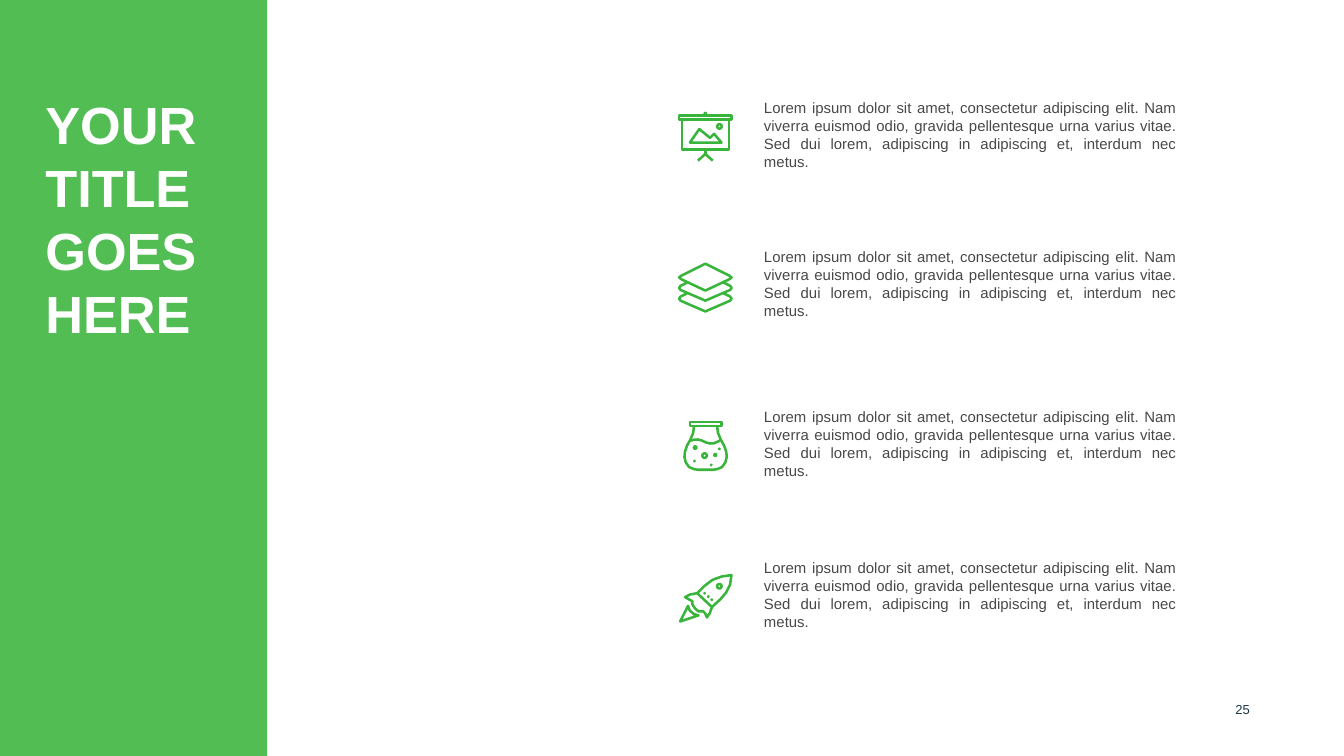
from math import cos, pi, sin

from lxml import etree
from pptx import Presentation
from pptx.dml.color import RGBColor
from pptx.enum import shapes, text
from pptx.oxml import ns
from pptx.util import Pt

GREEN, WHITE, GREY, NAVY = "39B53C", "FFFFFF", "484848", "1D3647"
FONT = "Arial"
ICON_UNIT = 0.72  # points per step of the icon grid
ICON_LEFT = 363.1
STROKE = 1.35
LOREM = ("Lorem ipsum dolor sit amet, consectetur adipiscing elit. Nam viverra "
         "euismod odio, gravida pellentesque urna varius vitae. Sed dui lorem, "
         "adipiscing in adipiscing et, interdum nec metus.")


def colour(hex_code):
    return RGBColor.from_string(hex_code)


def write(frame, words, size, color, bold=False, align=text.PP_ALIGN.LEFT,
          after=0, inset=(7.2, 3.6)):
    frame.word_wrap = True
    frame.margin_left = frame.margin_right = Pt(inset[0])
    frame.margin_top = frame.margin_bottom = Pt(inset[1])
    paragraph = frame.paragraphs[0]
    paragraph.alignment = align
    paragraph.space_after = Pt(after)
    run = paragraph.add_run()
    run.text = words
    run.font.name, run.font.size, run.font.bold = FONT, Pt(size), bold
    run.font.color.rgb = colour(color)


# Contours are (points, closed) pairs on the icon grid
def line(*points):
    return points, False


def loop(*points):
    return points, True


def box(left, top, right, bottom):
    return loop((left, top), (right, top), (right, bottom), (left, bottom))


def circle(x, y, radius, sides=10):
    angles = [2 * pi * side / sides for side in range(sides)]
    return loop(*[(x + radius * cos(a), y + radius * sin(a)) for a in angles])


def board():
    return [circle(20.5, 1.5, 0.5),
            box(1, 2.7, 40, 6),
            box(3, 6, 38, 28),
            line((20.5, 28), (20.5, 31.5)),
            line((15, 36.5), (20.5, 31.5), (26, 36.5)),
            loop((9, 23), (16, 13), (24, 19.5), (27, 16.5), (32.5, 23)),
            circle(31, 11, 1.7)]


def layers():
    top_sheet = loop((2.5, 10), (1, 11.2), (2.5, 12.5), (20.5, 21), (38.5, 12.5),
                     (40, 11.2), (38.5, 10), (20.5, 1))
    lower_sheets = [line((7, y - 4), (2, y - 1.5), (1, y), (2, y + 1.5), (20.5, y + 9.5),
                         (39, y + 1.5), (40, y), (39, y - 1.5), (34, y - 4))
                    for y in (19, 27)]
    return [top_sheet, *lower_sheets]


def flask():
    left_side = [(12.2, 4), (11.5, 9), (9.5, 14), (7, 18.5), (5.4, 23), (5, 27),
                 (6, 31), (8.5, 34.5), (12, 36), (15, 36.5)]
    right_side = [(41.5 - x, y) for x, y in reversed(left_side)]
    liquid = line((9, 15), (12, 14.2), (15, 14), (18, 14.8), (21, 16.2), (24, 17),
                  (27, 16.8), (30, 15.5), (32, 14.5))
    bubbles = [(20, 26, 1.7), (13, 20, 0.9), (28, 25.5, 0.7),
               (12.5, 30, 0.1), (25, 33, 0.1), (31, 21, 0.1)]
    return [box(9, 1, 32.5, 4), line(*left_side, *right_side), liquid,
            *[circle(*bubble) for bubble in bubbles]]


def rocket():
    hull = loop((14.5, 14.5), (20, 9), (26, 4.5), (33, 2), (40, 1), (39, 8),
                (36, 14), (32, 18.8), (25.5, 24.8))
    fins = line((14.5, 14.5), (9, 15.5), (5.5, 17.5), (11, 20.5), (11, 23),
                (13, 26), (15.5, 28), (19, 28), (20.5, 29.5), (21.7, 32.5),
                (23.8, 29.5), (25.5, 24.8))
    flame = loop((7.7, 24), (1.8, 35.5), (15.5, 31), (12, 30), (9, 27.5))
    rivets = [circle(x, y, 0.1) for x, y in ((20, 14.5), (22.8, 17), (25.3, 19.3))]
    return [hull, fins, flame, circle(31, 9.3, 1.7), *rivets]


class SlideBuilder:
    def __init__(self, slide):
        self.slide = slide

    def panel(self, left, top, width, height, color, opacity):
        panel = self.slide.shapes.add_shape(
            shapes.MSO_SHAPE.RECTANGLE, Pt(left), Pt(top), Pt(width), Pt(height))
        panel.shadow.inherit = False
        panel.fill.solid()
        panel.fill.fore_color.rgb = colour(color)
        panel.line.fill.background()
        srgb = panel.fill._xPr.find(".//" + ns.qn("a:srgbClr"))
        etree.SubElement(srgb, ns.qn("a:alpha"), val=str(opacity * 1000))

    def label(self, left, top, width, height, words, **style):
        frame = self.slide.shapes.add_textbox(
            Pt(left), Pt(top), Pt(width), Pt(height)).text_frame
        write(frame, words, **style)

    def icon(self, top, contours):
        builder = None
        for points, closed in contours:
            grid = [(Pt(ICON_LEFT + x * ICON_UNIT), Pt(top + y * ICON_UNIT))
                    for x, y in points]
            if builder is None:
                builder = self.slide.shapes.build_freeform(*grid[0])
            else:
                builder.move_to(*grid[0])
            builder.add_line_segments(grid[1:], close=closed)
        icon = builder.convert_to_shape()
        icon.shadow.inherit = False
        icon.fill.background()
        icon.line.color.rgb = colour(GREEN)
        icon.line.width = Pt(STROKE)


def main():
    deck = Presentation()
    deck.slide_width, deck.slide_height = Pt(720), Pt(405)
    builder = SlideBuilder(deck.slides.add_slide(deck.slide_layouts[6]))

    # Page number, title panel and title
    builder.label(638.6, 375.8, 31, 11.5, "25", size=7, color=NAVY,
                  align=text.PP_ALIGN.RIGHT, inset=(0, 0))
    builder.panel(0, 0, 143.1, 405, GREEN, opacity=88)
    builder.label(17.3, 46.1, 129.6, 143.3, "YOUR TITLE GOES HERE",
                  size=28, color=WHITE, bold=True)

    # Icon and description rows
    rows = ((49.3, 59.8, board()), (129.2, 140.6, layers()),
            (215, 225.4, flask()), (295.9, 307.4, rocket()))
    for text_top, icon_top, contours in rows:
        builder.label(402.2, text_top, 235.4, 46.1, LOREM, size=8, color=GREY,
                      align=text.PP_ALIGN.JUSTIFY, after=11.2)
        builder.icon(icon_top, contours)

    deck.save("out.pptx")


if __name__ == "__main__":
    main()
